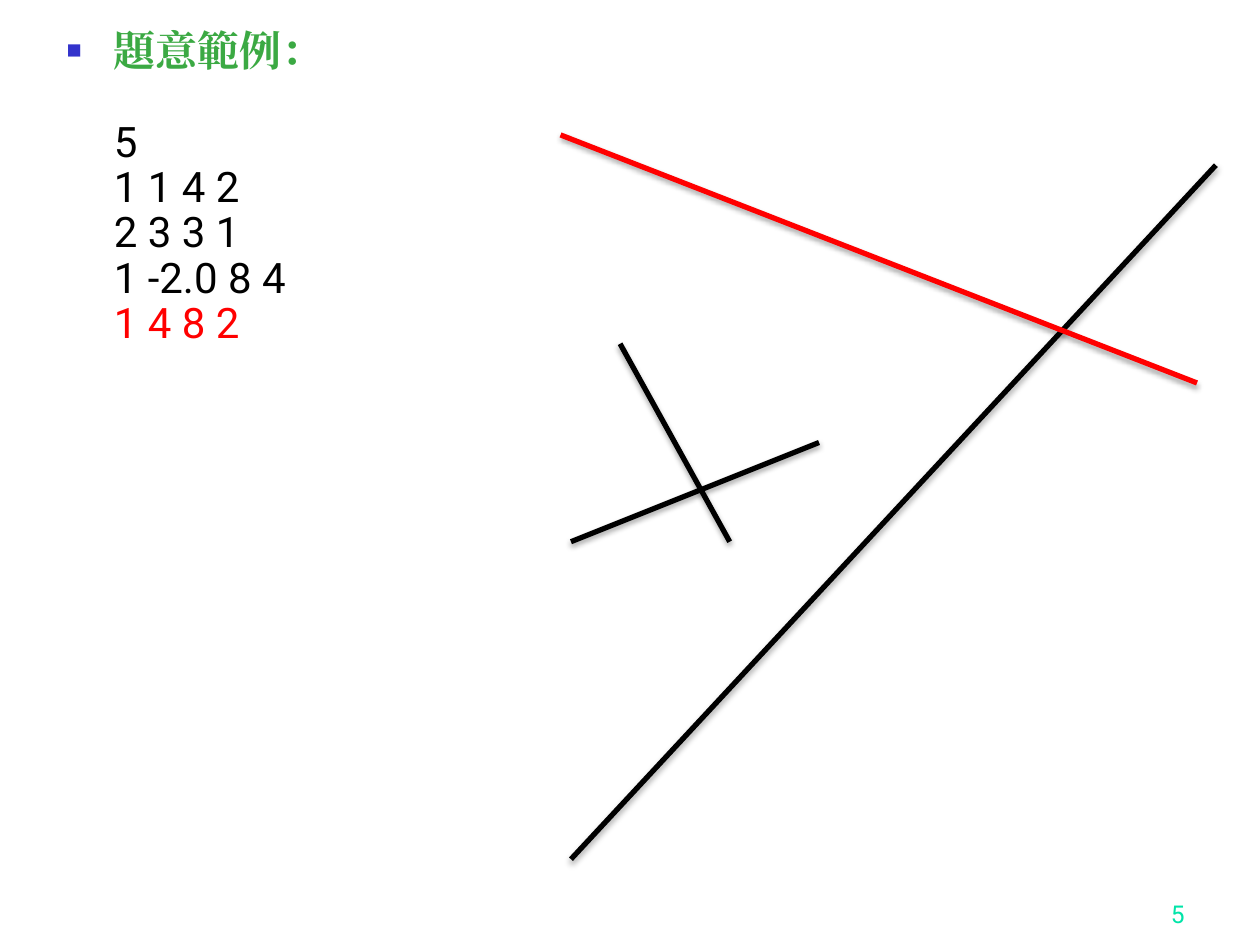
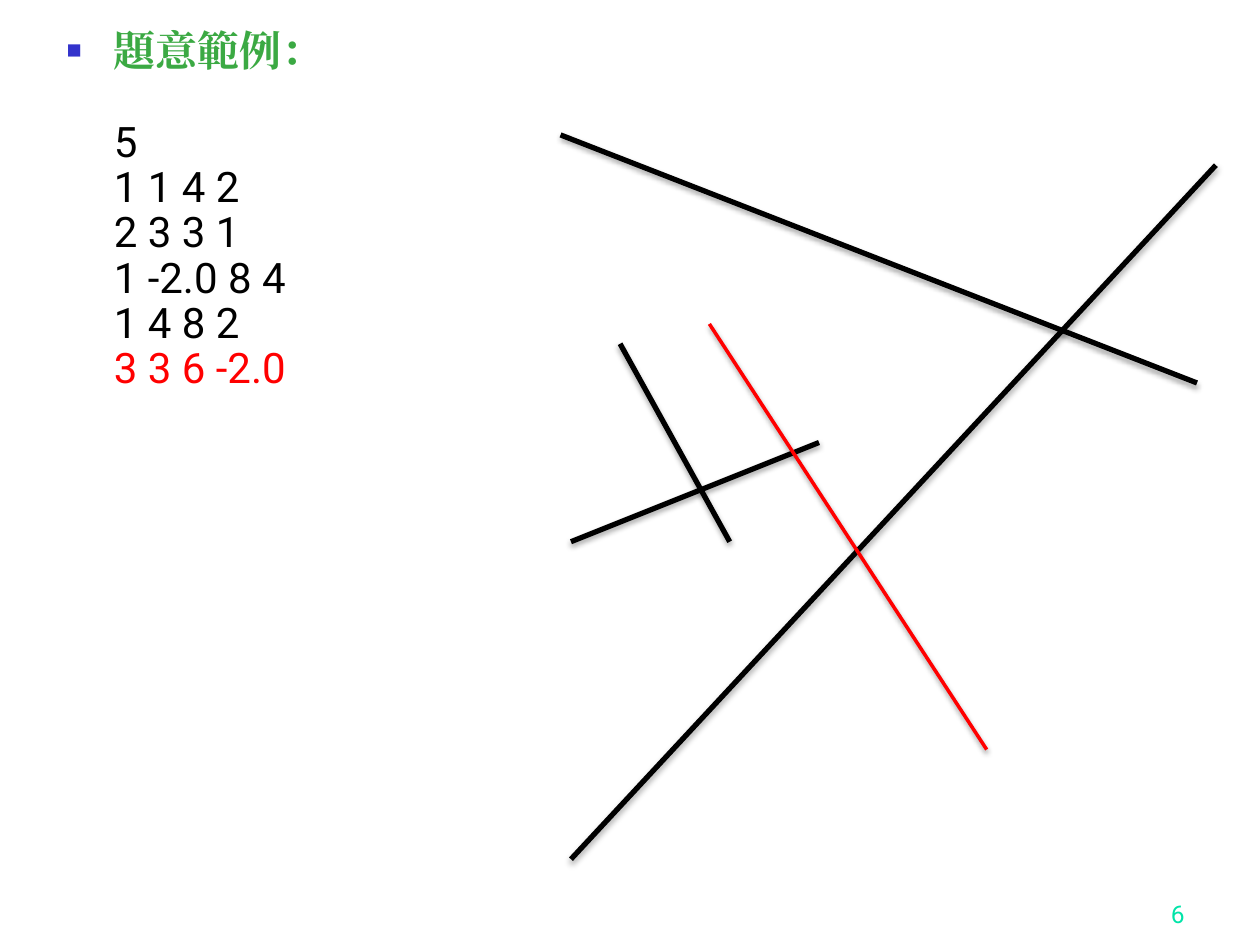
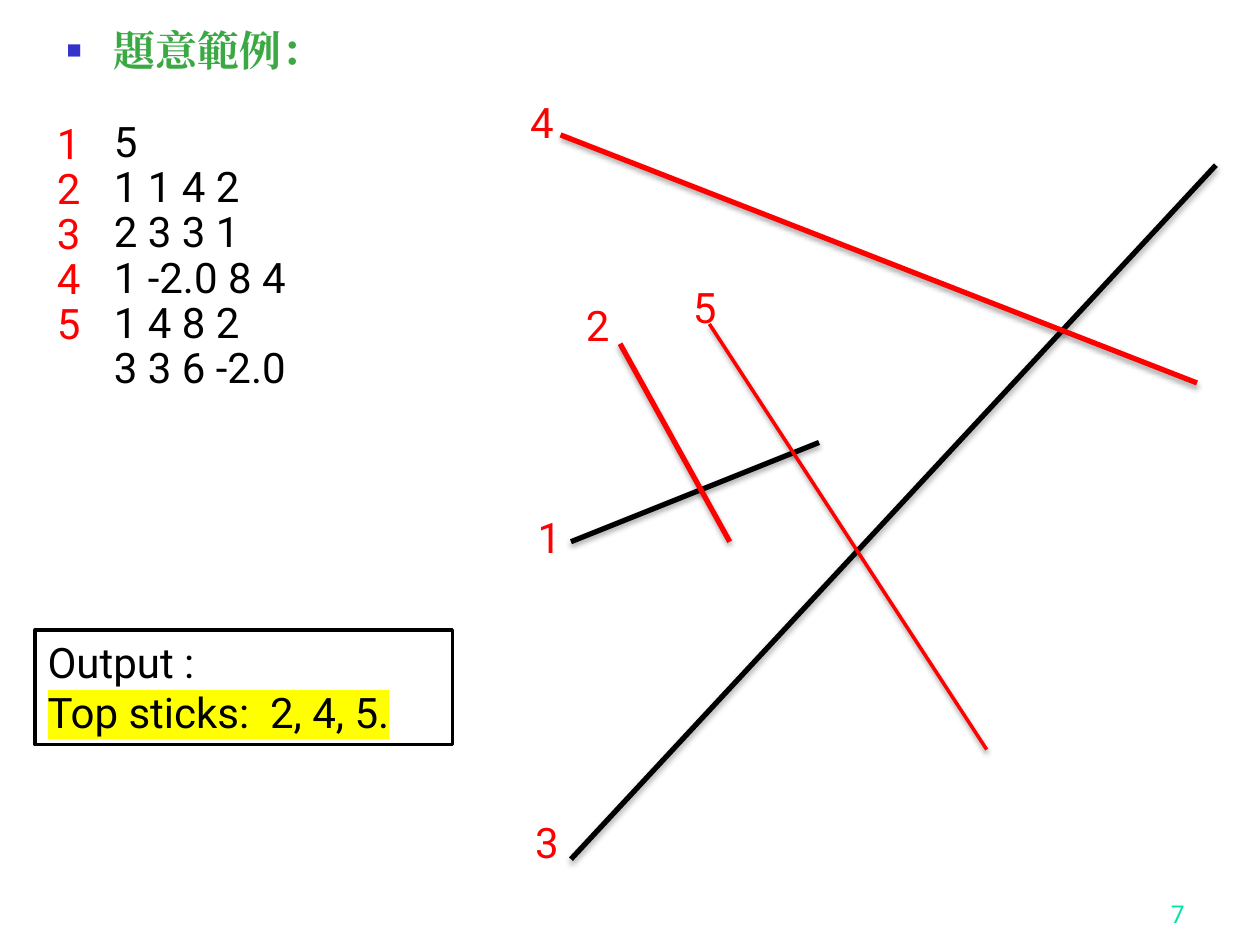
from lxml import etree
from pptx import Presentation
from pptx import util as u
from pptx.dml.color import RGBColor
from pptx.enum import shapes, text
from pptx.oxml import ns

LATIN, HEADING_FONT = "Roboto", "Times New Roman"
BLACK, RED, WHITE = "000000", "FF0000", "FFFFFF"
GREEN, BLUE, MINT, YELLOW = "3BA943", "3333CC", "00E4A8", "FFFF00"

HEADING = "題意範例："
ROWS = ["5", "1 1 4 2", "2 3 3 1", "1 -2.0 8 4", "1 4 8 2", "3 3 6 -2.0"]
STICKS = {
    1: (11.51, 10.92, 16.51, 8.92),
    2: (12.5, 6.93, 14.71, 10.92),
    3: (11.51, 17.32, 24.51, 3.33),
    4: (11.3, 2.72, 24.13, 7.72),
    5: (14.3, 6.53, 19.89, 15.11),
}
STICK_LABELS = {
    1: (10.59, 10.19),
    2: (11.56, 5.92),
    3: (10.54, 16.33),
    4: (10.44, 1.83),
    5: (13.72, 5.56),
}
ROW_LABEL_LEFT, ROW_LABEL_TOP, ROW_LABEL_STEP = 0.9, 2.24, 0.91


def color(value):
    return RGBColor.from_string(value)


def cm(*lengths):
    return [u.Cm(length) for length in lengths]


def sub(parent, tag, **attributes):
    return etree.SubElement(parent, ns.qn(f"a:{tag}"), attributes)


def add_run(paragraph, words, ink, size=24, font=LATIN, bold=False, highlight=None):
    run = paragraph.add_run()
    run.text = words
    run.font.size = u.Pt(size)
    run.font.bold = bold
    run.font.color.rgb = color(ink)
    if highlight:
        marker = sub(run.font._element, "highlight")
        sub(marker, "srgbClr", val=highlight)
    run.font.name = font
    return run


def indent(paragraph, first_line):
    properties = paragraph._p.get_or_add_pPr()
    properties.set("marL", str(u.Cm(0.95)))
    properties.set("indent", str(u.Cm(first_line)))
    paragraph.line_spacing = 0.9
    return properties


def add_input(slide, rows, red_row):
    slide.shapes.title._element.getparent().remove(slide.shapes.title._element)
    body = slide.placeholders[1]
    body.left, body.top, body.width, body.height = cm(1.09, 0.48, 5.59, 7.04)
    frame = body.text_frame
    frame.auto_size = text.MSO_AUTO_SIZE.NONE

    heading = frame.paragraphs[0]
    bullet = indent(heading, -0.95)
    sub(sub(bullet, "buClr"), "srgbClr", val=BLUE)
    sub(bullet, "buSzPct", val="60000")
    sub(bullet, "buChar", char="■")
    title = add_run(heading, HEADING, GREEN, font=HEADING_FONT, bold=True)
    sub(title.font._element, "ea", typeface=HEADING_FONT)

    for index, row in enumerate(rows):
        line = frame.add_paragraph()
        sub(indent(line, 0), "buNone")
        line.space_before = u.Pt(0 if index else 26)
        add_run(line, row, RED if index == red_row else BLACK)


def add_stick(slide, number, ink):
    stick = slide.shapes.add_connector(
        shapes.MSO_CONNECTOR.STRAIGHT, *cm(*STICKS[number]))
    thin = number == 5
    stick.line.color.rgb = color(ink)
    stick.line.width = u.Pt(2 if thin else 3)
    effects = sub(stick._element.spPr, "effectLst")
    shadow = sub(effects, "outerShdw", blurRad="40000",
                 dist="20000" if thin else "23000", dir="5400000", rotWithShape="0")
    shade = sub(shadow, "srgbClr", val=BLACK)
    sub(shade, "alpha", val="38000" if thin else "35000")


def add_label(slide, number, left, top):
    label = slide.shapes.add_textbox(*cm(left, top, 0.99, 1.28))
    label.text_frame.word_wrap = False
    label.text_frame.auto_size = text.MSO_AUTO_SIZE.SHAPE_TO_FIT_TEXT
    add_run(label.text_frame.paragraphs[0], str(number), RED)


def add_page_number(slide, number):
    footer = slide.shapes.add_textbox(*cm(18.85, 17.58, 5.28, 1.27))
    footer.text_frame.word_wrap = True
    footer.text_frame.vertical_anchor = text.MSO_ANCHOR.BOTTOM
    paragraph = footer.text_frame.paragraphs[0]
    paragraph.alignment = text.PP_ALIGN.RIGHT
    add_run(paragraph, str(number), MINT, size=14)


def add_output(slide):
    output = slide.shapes.add_shape(
        shapes.MSO_SHAPE.RECTANGLE, *cm(0.71, 12.7, 8.41, 2.31))
    output.shadow.inherit = False
    output.fill.solid()
    output.fill.fore_color.rgb = color(WHITE)
    output.line.color.rgb = color(BLACK)
    output.line.width = u.Pt(2)
    frame = output.text_frame
    frame.word_wrap = True
    frame.auto_size = text.MSO_AUTO_SIZE.SHAPE_TO_FIT_TEXT
    frame.vertical_anchor = text.MSO_ANCHOR.TOP
    caption, answer = frame.paragraphs[0], frame.add_paragraph()
    caption.alignment = answer.alignment = text.PP_ALIGN.LEFT
    add_run(caption, "Output :", BLACK)
    add_run(answer, "Top sticks:  2, 4, 5.", BLACK, highlight=YELLOW)


def add_step(deck, page, stick_count, red_sticks, red_row=None):
    slide = deck.slides.add_slide(deck.slide_layouts[1])
    add_input(slide, ROWS[:stick_count + 1], red_row)
    add_page_number(slide, page)
    for number in range(1, stick_count + 1):
        add_stick(slide, number, RED if number in red_sticks else BLACK)
    return slide


def main():
    deck = Presentation()
    deck.slide_width, deck.slide_height = cm(25.4, 19.05)
    add_step(deck, 5, 4, {4}, red_row=4)
    add_step(deck, 6, 5, {5}, red_row=5)
    result = add_step(deck, 7, 5, {2, 4, 5})
    for number, (left, top) in STICK_LABELS.items():
        add_label(result, number, ROW_LABEL_LEFT,
                  ROW_LABEL_TOP + ROW_LABEL_STEP * (number - 1))
        add_label(result, number, left, top)
    add_output(result)
    deck.save("out.pptx")


if __name__ == "__main__":
    main()
